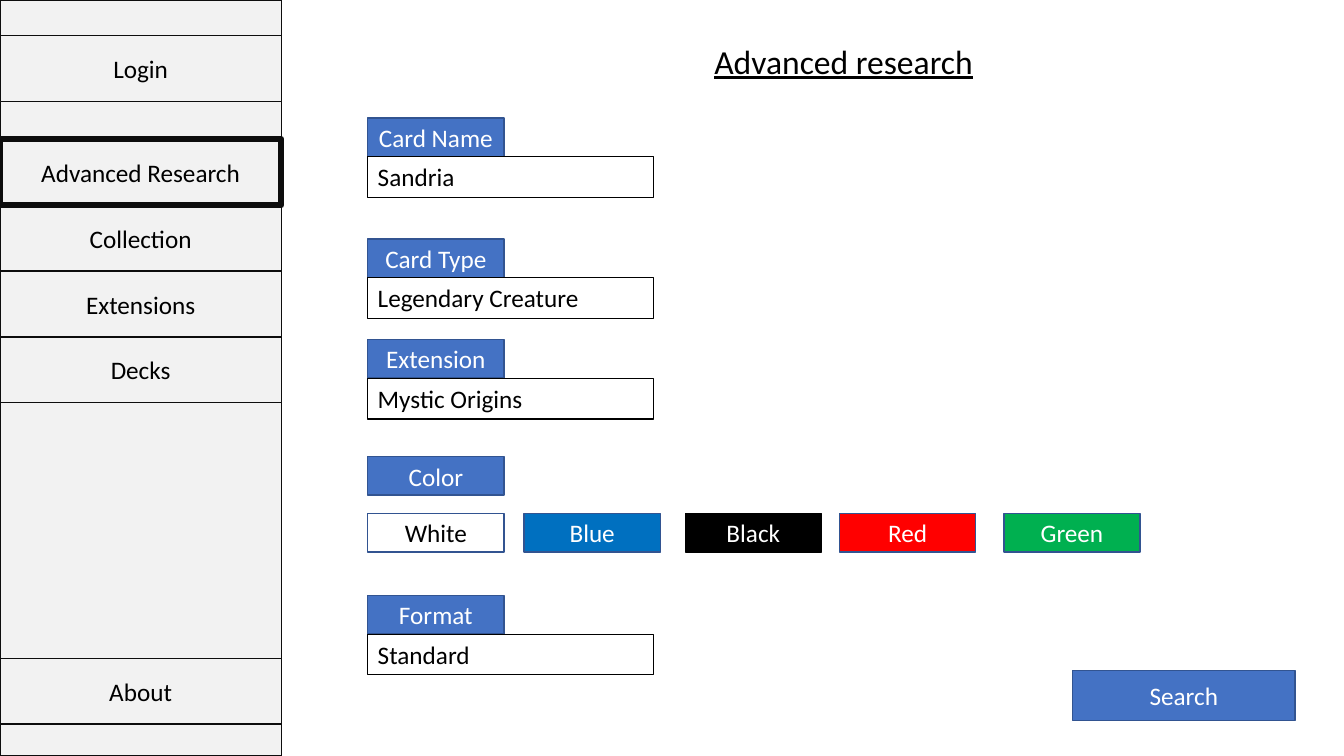
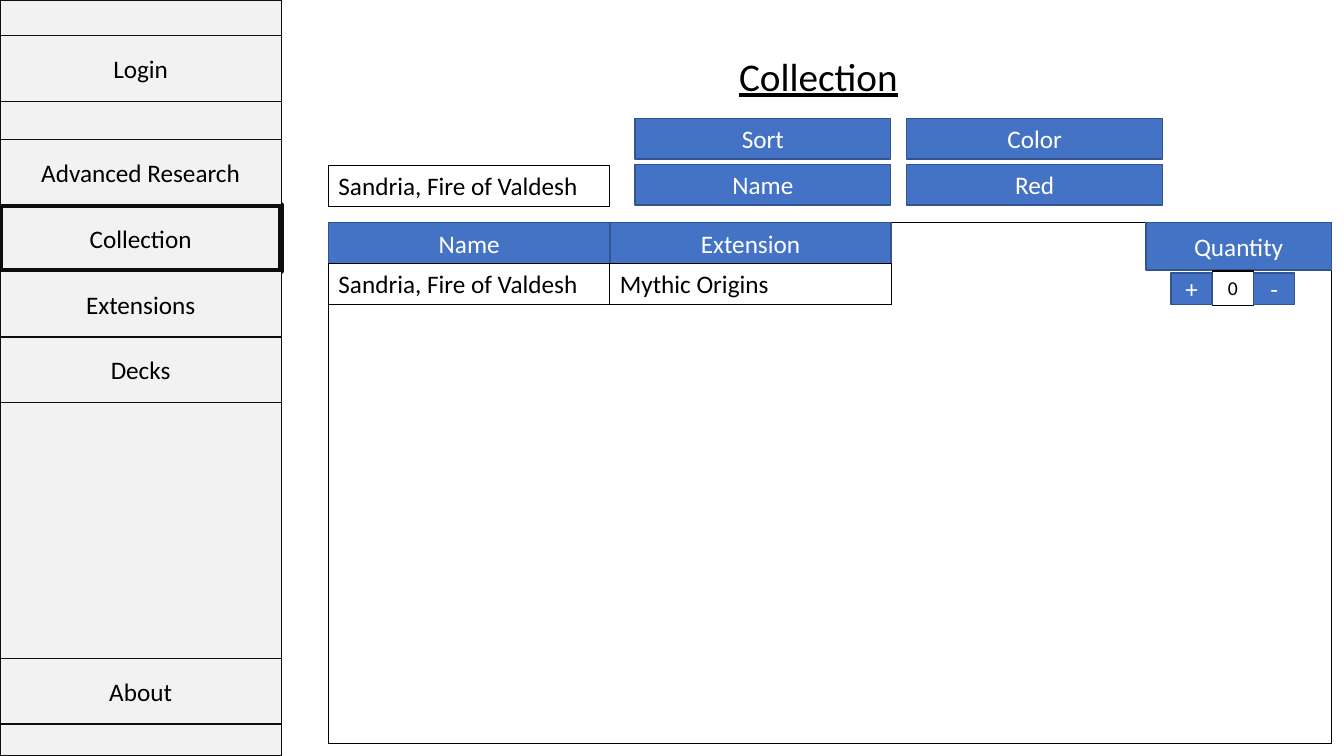
from dataclasses import dataclass
from typing import NamedTuple, Optional

from pptx import Presentation
from pptx.dml.color import RGBColor
from pptx.enum.shapes import MSO_SHAPE
from pptx.enum.text import MSO_ANCHOR, PP_ALIGN
from pptx.presentation import Presentation as Deck
from pptx.shapes.autoshape import Shape
from pptx.slide import Slide
from pptx.util import Cm, Pt


@dataclass(frozen=True)
class Theme:
    font: str = "Calibri"
    body_size: float = 18
    counter_size: float = 14
    black: str = "000000"
    white: str = "FFFFFF"
    sidebar: str = "F2F2F2"
    sidebar_line: str = "0D0D0D"
    accent: str = "4472C4"
    accent_line: str = "325491"
    red: str = "FF0000"
    blue: str = "0070C0"
    green: str = "00B050"


THEME = Theme()


class Box(NamedTuple):
    """Position and size in centimetres."""
    left: float
    top: float
    width: float
    height: float


class Style(NamedTuple):
    fill: Optional[str]
    line: str
    line_width: float
    text: str
    align: PP_ALIGN = PP_ALIGN.CENTER
    anchor: MSO_ANCHOR = MSO_ANCHOR.MIDDLE
    size: float = THEME.body_size


class MenuItem(NamedTuple):
    label: str
    top: float
    line_width: float = 1


class SearchField(NamedTuple):
    label: str
    value: str
    top: float


class ColorChoice(NamedTuple):
    label: str
    left: float
    style: Style


SLIDE_WIDTH, SLIDE_HEIGHT = 33.87, 19.05
MENU_WIDTH, MENU_HEIGHT, MENU_TOP = 7.09, 1.66, 3.51
ROW_HEIGHT = 1.03

MENU_STYLE = Style(THEME.sidebar, THEME.sidebar_line, 1, THEME.black)
BUTTON = Style(THEME.accent, THEME.accent_line, 1, THEME.white)
FIELD = Style(None, THEME.black, 0.75, THEME.black, PP_ALIGN.LEFT, MSO_ANCHOR.TOP)
COUNTER = FIELD._replace(align=PP_ALIGN.CENTER, size=THEME.counter_size)
FRAME = FIELD._replace(line_width=1)

MENU = (
    MenuItem("Login", 0.9, 0.25),
    MenuItem("Collection", MENU_TOP + MENU_HEIGHT),
    MenuItem("Extensions", MENU_TOP + 2 * MENU_HEIGHT),
    MenuItem("Advanced Research", MENU_TOP),
    MenuItem("Decks", MENU_TOP + 3 * MENU_HEIGHT),
    MenuItem("About", 16.59),
)
CURRENT_LINE_WIDTH = 4.5

SEARCH_LEFT, LABEL_WIDTH, LABEL_HEIGHT, VALUE_WIDTH = 9.27, 3.43, 0.97, 7.21
SEARCH_FIELDS = (
    SearchField("Card Name", "Sandria", 2.97),
    SearchField("Card Type", "Legendary Creature", 6.02),
    SearchField("Extension", "Mystic Origins", 8.56),
    SearchField("Format", "Standard", 15.01),
)
COLOR_CHOICES = (
    ColorChoice("White", SEARCH_LEFT, BUTTON._replace(fill=THEME.white, text=THEME.black)),
    ColorChoice("Blue", 13.21, BUTTON._replace(fill=THEME.blue)),
    ColorChoice("Black", 17.27, BUTTON._replace(fill=THEME.black, line=THEME.black)),
    ColorChoice("Red", 21.16, BUTTON._replace(fill=THEME.red)),
    ColorChoice("Green", 25.3, BUTTON._replace(fill=THEME.green)),
)

CARD_NAME = "Sandria, Fire of Valdesh"
TABLE_LEFT, TABLE_TOP, COLUMN_WIDTH = 8.28, 5.61, 7.09
COLUMNS = (("Name", CARD_NAME), ("Extension", "Mythic Origins"))
FILTERS = (("Sort", "Name"), ("Color", "Red"))
FILTER_LEFT, FILTER_TOP, FILTER_WIDTH = 16.0, 2.98, 6.45
FILTER_STEP, FILTER_ROW_STEP = 6.85, 1.16
STEPPER_LEFT, STEPPER_TOP, STEPPER_WIDTH = 29.51, 6.88, 1.04


def lengths(box: Box) -> tuple[Cm, ...]:
    return tuple(Cm(value) for value in box)


def write_text(shape: Shape, text: str, size: float, color: str,
               align: PP_ALIGN, anchor: MSO_ANCHOR, underline: bool = False) -> None:
    frame = shape.text_frame
    frame.word_wrap = True
    frame.vertical_anchor = anchor
    paragraph = frame.paragraphs[0]
    paragraph.text = text
    paragraph.alignment = align
    font = paragraph.font
    font.name = THEME.font
    font.size = Pt(size)
    font.color.rgb = RGBColor.from_string(color)
    if underline:
        font.underline = True


def add_box(slide: Slide, box: Box, style: Style, text: str = "") -> None:
    shape = slide.shapes.add_shape(MSO_SHAPE.RECTANGLE, *lengths(box))
    shape.shadow.inherit = False
    if style.fill:
        shape.fill.solid()
        shape.fill.fore_color.rgb = RGBColor.from_string(style.fill)
    else:
        shape.fill.background()
    shape.line.color.rgb = RGBColor.from_string(style.line)
    shape.line.width = Pt(style.line_width)
    if text:
        write_text(shape, text, style.size, style.text, style.align, style.anchor)


def add_page(presentation: Deck, current: str, title: str,
             title_box: Box, title_size: float) -> Slide:
    """Add a blank slide with the side menu and an underlined title."""
    slide = presentation.slides.add_slide(presentation.slide_layouts[6])
    add_box(slide, Box(0, 0, MENU_WIDTH, SLIDE_HEIGHT), MENU_STYLE)
    for item in MENU:
        width = CURRENT_LINE_WIDTH if item.label == current else item.line_width
        add_box(slide, Box(0, item.top, MENU_WIDTH, MENU_HEIGHT),
                MENU_STYLE._replace(line_width=width), item.label)
    text_box = slide.shapes.add_textbox(*lengths(title_box))
    write_text(text_box, title, title_size, THEME.black,
               PP_ALIGN.CENTER, MSO_ANCHOR.TOP, underline=True)
    return slide


def add_research_slide(presentation: Deck) -> None:
    slide = add_page(presentation, "Advanced Research", "Advanced research",
                     Box(15.29, 0.9, 11.94, 1.28), 24)
    for field in SEARCH_FIELDS:
        add_box(slide, Box(SEARCH_LEFT, field.top, LABEL_WIDTH, LABEL_HEIGHT),
                BUTTON, field.label)
        add_box(slide, Box(SEARCH_LEFT, field.top + LABEL_HEIGHT, VALUE_WIDTH, ROW_HEIGHT),
                FIELD, field.value)
    add_box(slide, Box(SEARCH_LEFT, 11.51, LABEL_WIDTH, LABEL_HEIGHT), BUTTON, "Color")
    for choice in COLOR_CHOICES:
        add_box(slide, Box(choice.left, 12.94, LABEL_WIDTH, LABEL_HEIGHT),
                choice.style, choice.label)
    add_box(slide, Box(27.03, 16.89, 5.61, 1.27), BUTTON, "Search")


def add_collection_slide(presentation: Deck) -> None:
    slide = add_page(presentation, "Collection", "Collection",
                     Box(13.97, 1.19, 13.31, 2.64), 28)
    add_box(slide, Box(TABLE_LEFT, 4.17, COLUMN_WIDTH, ROW_HEIGHT), FIELD, CARD_NAME)
    for column, labels in enumerate(FILTERS):
        for row, label in enumerate(labels):
            add_box(slide, Box(FILTER_LEFT + column * FILTER_STEP,
                               FILTER_TOP + row * FILTER_ROW_STEP,
                               FILTER_WIDTH, ROW_HEIGHT), BUTTON, label)

    add_box(slide, Box(TABLE_LEFT, TABLE_TOP, 25.27, 13.13), FRAME)
    for column, (heading, value) in enumerate(COLUMNS):
        left = TABLE_LEFT + column * COLUMN_WIDTH
        add_box(slide, Box(left, TABLE_TOP, COLUMN_WIDTH, ROW_HEIGHT), BUTTON, heading)
        add_box(slide, Box(left, TABLE_TOP + ROW_HEIGHT, COLUMN_WIDTH, ROW_HEIGHT),
                FIELD, value)
    add_box(slide, Box(28.88, TABLE_TOP, 4.67, 1.2), BUTTON, "Quantity")

    add_box(slide, Box(STEPPER_LEFT + STEPPER_WIDTH, 6.83, STEPPER_WIDTH, 0.86), COUNTER, "0")
    for position, sign in ((0, "+"), (2, "-")):
        add_box(slide, Box(STEPPER_LEFT + position * STEPPER_WIDTH, STEPPER_TOP,
                           STEPPER_WIDTH, 0.79), BUTTON, sign)


def main() -> None:
    presentation = Presentation()
    presentation.slide_width = Cm(SLIDE_WIDTH)
    presentation.slide_height = Cm(SLIDE_HEIGHT)
    add_research_slide(presentation)
    add_collection_slide(presentation)
    presentation.save("out.pptx")


if __name__ == "__main__":
    main()
